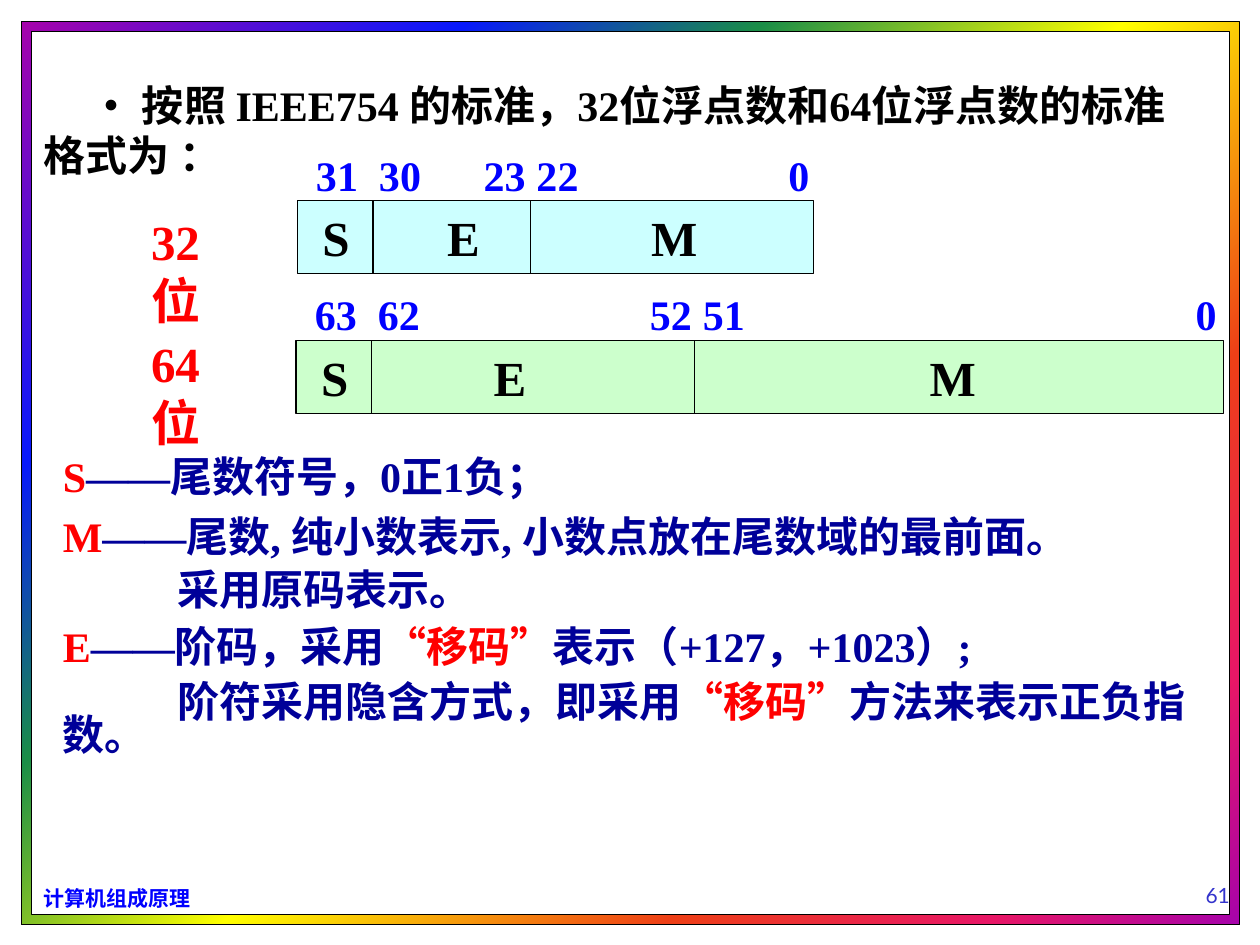
from pptx import Presentation
from pptx.dml.color import RGBColor
from pptx.enum.shapes import MSO_CONNECTOR, MSO_SHAPE
from pptx.enum.text import MSO_ANCHOR, PP_ALIGN
from pptx.oxml import parse_xml
from pptx.oxml.ns import nsdecls, qn
from pptx.util import Inches, Pt
from lxml.etree import SubElement

SERIF, SANS, LATO = "Times New Roman", "Noto Sans CJK SC", "Lato"
BLACK, BLUE, RED, NAVY = "000000", "0000FF", "FF0000", "000099"
RAINBOW = [(0, "A603AB"), (21, "0819FB"), (35, "1A8D48"), (52, "FFFF00"),
           (73, "EE3F17"), (88, "E81766"), (100, "A603AB")]
WIDE, HIGH = 10, 7.5
NOTES = [
    (1, 0, [("S", RED), ("——尾数符号，0正1负；", NAVY)]),
    (0.75, 0, [("M", RED), ("——尾数, 纯小数表示, 小数点放在尾数域的最前面。", NAVY)]),
    (0.6, 0.91, [("采用原码表示。", NAVY)]),
    (0.75, 0, [("E", RED), ("——阶码，采用", NAVY), ("“移码”", RED),
               ("表示（+127，+1023）;", NAVY)]),
    (0.65, 0.91, [("阶符采用隐含方式，即采用", NAVY), ("“移码”", RED),
                  ("方法来表示正负指数。", NAVY)]),
]
FORMATS = [
    dict(box=(1.1, 1.14, 5.36, 1.03), name="32位", drop=0.49, start=1.26,
         cuts=(0.6, 1.85), fill="CCFFFF",
         fields={"S": 0.1, "E": 1.09, "M": 2.71},
         bits={"31": 0, "30": 0.5, "23": 1.33, "22": 1.75, "0": 3.75}),
    dict(box=(1.1, 2.24, 8.61, 1.04), name="64位", drop=0.36, start=1.25,
         cuts=(0.6, 3.16), fill="CCFFCC",
         fields={"S": 0.1, "E": 1.47, "M": 4.93},
         bits={"63": 0, "62": 0.5, "52": 2.66, "51": 3.08, "0": 6.99}),
]


def paint(code):
    """Turn a hex string into a colour."""
    return RGBColor.from_string(code)


def scale(box):
    """Turn grid columns and rows into lengths."""
    return [Inches(part) for part in box]


def write(para, runs, size, font=SERIF, bold=True):
    """Add the coloured runs to a paragraph."""
    for words, shade in runs:
        run = para.add_run()
        run.text = words
        run.font.size, run.font.bold, run.font.name = Pt(size), bold, font
        run.font.color.rgb = paint(shade)
        if font == SANS:
            SubElement(run.font._element, qn("a:ea")).set("typeface", font)


def indent(para, first):
    """Set the first-line indent."""
    props = para._p.get_or_add_pPr()
    props.set("marL", "0")
    props.set("indent", str(Inches(first)))


def label(shapes, box, wrap=True):
    """Place a text box and return its frame."""
    frame = shapes.add_textbox(*scale(box)).text_frame
    frame.word_wrap = wrap
    return frame


def block(shapes, box, fill):
    """Place a thinly outlined rectangle."""
    shape = shapes.add_shape(MSO_SHAPE.RECTANGLE, *scale(box))
    shape.shadow.inherit = False
    shape.fill.solid()
    shape.fill.fore_color.rgb = paint(fill)
    shape.line.color.rgb, shape.line.width = paint(BLACK), Pt(0.75)
    return shape


def border(shapes, box):
    """Draw the rainbow border around the page."""
    left, top, width, height = box
    outer = block(shapes, box, "FFFFFF")
    stops = "".join(f'<a:gs pos="{spot * 1000}"><a:srgbClr val="{code}"/></a:gs>'
                    for spot, code in RAINBOW)
    solid = outer._element.spPr.find(qn("a:solidFill"))
    solid.getparent().replace(solid, parse_xml(
        f'<a:gradFill {nsdecls("a")} rotWithShape="1"><a:gsLst>{stops}</a:gsLst>'
        '<a:lin ang="2700000" scaled="1"/></a:gradFill>'))
    edge = 0.08
    block(shapes, (left + edge, top + edge, width - 2 * edge, height - 2 * edge), "FFFFFF")


def footer(shapes, box):
    """Write the course name and the page number."""
    left, top, width, height = box
    course = label(shapes, (left, top + 0.23, 1.37, 0.3), False)
    write(course.paragraphs[0], [("计算机组成原理", BLUE)], 12, SANS)
    page = label(shapes, (left + width - 1.83, top, 1.83, height))
    page.vertical_anchor = MSO_ANCHOR.BOTTOM
    page.paragraphs[0].alignment = PP_ALIGN.CENTER
    write(page.paragraphs[0], [("61", "3333CC")], 12, LATO, False)


def intro(shapes, box):
    """Write the opening statement."""
    para = label(shapes, box).paragraphs[0]
    indent(para, 0.37)
    write(para, [("• 按照 IEEE754 的标准，32位浮点数和64位浮点数的标准格式为 ：", BLACK)], 24)


def series(shapes, box, marks, size, shade):
    """Set out short labels at their distances along a row."""
    left, top, width, height = box
    for words, shift in marks.items():
        frame = label(shapes, (left + shift, top, width, height))
        frame.vertical_anchor = MSO_ANCHOR.MIDDLE
        write(frame.paragraphs[0], [(words, shade)], size)


def layout(shapes, box, name, drop, start, cuts, fill, fields, bits):
    """Draw one number format with its fields and bit marks."""
    left, top, width, height = box
    group = shapes.add_group_shape().shapes
    deep = 0.58
    side, head, span = left + start, top + height - deep, width - start
    block(group, (side, head, span, deep), fill)
    for cut in cuts:
        line = group.add_connector(MSO_CONNECTOR.STRAIGHT, *scale(
            (side + cut, head, side + cut, head + deep)))
        line.line.color.rgb, line.line.width = paint(BLACK), Pt(0.75)
        SubElement(line._element.spPr, qn("a:effectLst"))
    series(group, (side, head, 0.65, deep), fields, 28, BLACK)
    series(group, (side + 0.05, top, 0.6, 0.5), bits, 24, BLUE)
    title = label(group, (left, top + drop, 0.95, 0.57))
    write(title.paragraphs[0], [(name, RED)], 28)


def legend(shapes, box):
    """Explain the fields of the formats."""
    frame = label(shapes, box)
    for rank, (pitch, first, runs) in enumerate(NOTES):
        para = frame.add_paragraph() if rank else frame.paragraphs[0]
        indent(para, first)
        para.line_spacing = pitch
        if rank:
            para.space_before = Pt(12)
        write(para, runs, 24)


def main():
    """Build the slide and save it."""
    deck = Presentation()
    deck.slide_width, deck.slide_height = scale((WIDE, HIGH))
    shapes = deck.slides.add_slide(deck.slide_layouts[6]).shapes
    border(shapes, (0.17, 0.17, 9.67, 7.17))
    footer(shapes, (0.25, 6.75, 10.33, 0.5))
    legend(shapes, (0.4, 3.53, 9.42, 2.7))
    intro(shapes, (0.25, 0.58, 9.36, 0.9))
    for form in FORMATS:
        layout(shapes, **form)
    deck.save("out.pptx")


if __name__ == "__main__":
    main()
